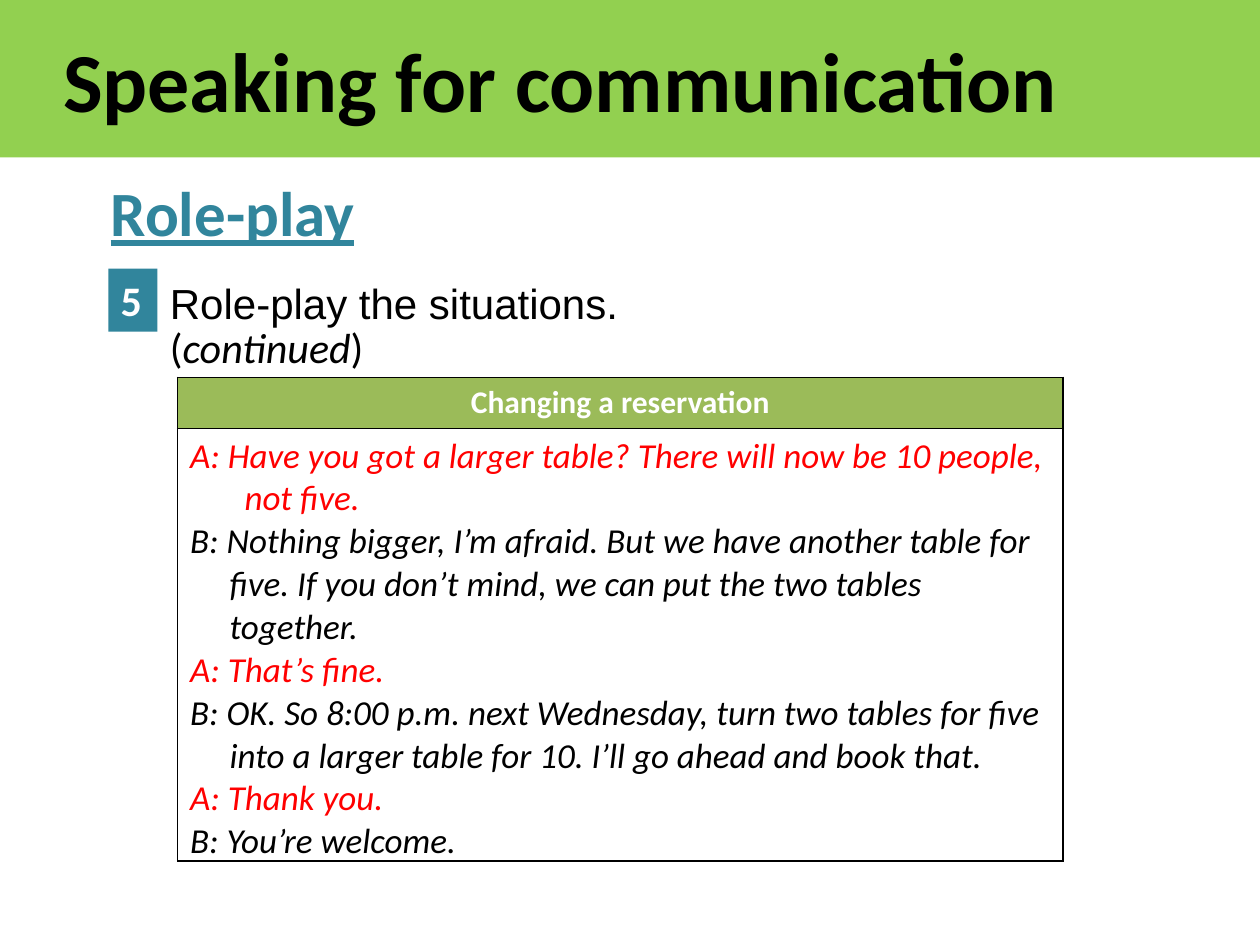
from lxml.etree import SubElement
from pptx import Presentation
from pptx.dml.color import RGBColor
from pptx.enum.shapes import MSO_SHAPE
from pptx.enum.text import MSO_ANCHOR, MSO_AUTO_SIZE, PP_ALIGN
from pptx.oxml.ns import qn
from pptx.util import Pt

BLACK = RGBColor(0x00, 0x00, 0x00)
WHITE = RGBColor(0xFF, 0xFF, 0xFF)
RED = RGBColor(0xFF, 0x00, 0x00)
TEAL = RGBColor(0x31, 0x85, 0x9C)
BANNER_GREEN = RGBColor(0x92, 0xD0, 0x50)
HEADER_GREEN = RGBColor(0x9B, 0xBB, 0x59)

TITLE = "Speaking for communication"
SECTION = "Role-play"
TASK_NUMBER = "5"
TASK = "Role-play the situations."
CONTINUED = [("(", False), ("continued", True), (")", False)]
SITUATION = "Changing a reservation"
# (line, hanging indent in points)
DIALOGUE = [
    ("A: Have you got a larger table? There will now be 10 people, not five.", 31),
    ("B: Nothing bigger, I’m afraid. But we have another table for five. "
     "If you don’t mind, we can put the two tables together.", 22.5),
    ("A: That’s fine.", 31),
    ("B: OK. So 8:00 p.m. next Wednesday, turn two tables for five into a "
     "larger table for 10. I’ll go ahead and book that.", 22.5),
    ("A: Thank you.", 31),
    ("B: You’re welcome.", 31),
]
SPEAKER_COLORS = {"A": RED, "B": BLACK}

TITLE_FONT = dict(name="Calibri", size=Pt(48), bold=True)
SECTION_FONT = dict(name="Calibri", size=Pt(36), bold=True, underline=True)
NUMBER_FONT = dict(name="Calibri", size=Pt(24), bold=True)
TASK_FONT = dict(name="Arial", size=Pt(24))
CONTINUED_FONT = dict(name="Calibri", size=Pt(24))
HEADER_FONT = dict(name="Calibri", size=Pt(18), bold=True)
DIALOGUE_FONT = dict(name="Calibri", size=Pt(20), bold=False, italic=True)


def format_font(font, formats, color):
    for name, value in formats.items():
        setattr(font, name, value)
    font.color.rgb = color


def fill_solid(part, color):
    part.fill.solid()
    part.fill.fore_color.rgb = color


def set_indent(paragraph, left, first_line):
    properties = paragraph._p.get_or_add_pPr()
    properties.set("marL", str(Pt(left)))
    properties.set("indent", str(Pt(first_line)))


def add_text(slide, box, runs, formats, color, wrap=True):
    frame = slide.shapes.add_textbox(*map(Pt, box)).text_frame
    frame.word_wrap = wrap
    for text, italic in runs:
        run = frame.paragraphs[0].add_run()
        run.text = text
        format_font(run.font, formats, color)
        run.font.italic = italic


def style_cell(cell, color):
    """Give the cell a black 1 pt border and a solid fill."""
    properties = cell._tc.get_or_add_tcPr()
    for side in ("a:lnL", "a:lnR", "a:lnT", "a:lnB"):
        border = SubElement(properties, qn(side), w=str(Pt(1)))
        SubElement(SubElement(border, qn("a:solidFill")), qn("a:srgbClr"), val=str(BLACK))
    fill_solid(cell, color)


def add_title(slide):
    title = slide.shapes.title
    title.left, title.top, title.width, title.height = map(Pt, (0, 0, 720, 90))
    fill_solid(title, BANNER_GREEN)
    frame = title.text_frame
    frame.text = TITLE
    frame.auto_size = MSO_AUTO_SIZE.NONE
    frame.vertical_anchor = MSO_ANCHOR.MIDDLE
    paragraph = frame.paragraphs[0]
    paragraph.alignment = PP_ALIGN.LEFT
    set_indent(paragraph, 0, 28.8)
    format_font(paragraph.font, TITLE_FONT, BLACK)


def add_task_number(slide):
    badge = slide.shapes.add_shape(MSO_SHAPE.RECTANGLE, *map(Pt, (61.9, 153.5, 28.1, 36)))
    badge.shadow.inherit = False
    fill_solid(badge, TEAL)
    badge.line.fill.background()
    badge.text_frame.text = TASK_NUMBER
    badge.text_frame.vertical_anchor = MSO_ANCHOR.TOP
    paragraph = badge.text_frame.paragraphs[0]
    paragraph.alignment = PP_ALIGN.LEFT
    format_font(paragraph.font, NUMBER_FONT, WHITE)


def add_dialogue(slide):
    table = slide.shapes.add_table(2, 1, *map(Pt, (101.5, 215.6, 506, 276.4))).table
    table.rows[0].height, table.rows[1].height = Pt(29.2), Pt(247.2)
    header, body = table.cell(0, 0), table.cell(1, 0)
    style_cell(header, HEADER_GREEN)
    style_cell(body, WHITE)

    header.text = SITUATION
    paragraph = header.text_frame.paragraphs[0]
    paragraph.alignment = PP_ALIGN.CENTER
    format_font(paragraph.font, HEADER_FONT, WHITE)

    body.margin_bottom = 0
    body.text = "\n".join(line for line, _ in DIALOGUE)
    for paragraph, (line, hanging) in zip(body.text_frame.paragraphs, DIALOGUE):
        set_indent(paragraph, hanging, -hanging)
        format_font(paragraph.font, DIALOGUE_FONT, SPEAKER_COLORS[line[0]])


def main():
    presentation = Presentation()
    presentation.slide_width, presentation.slide_height = Pt(720), Pt(540)
    slide = presentation.slides.add_slide(presentation.slide_layouts.get_by_name("Title Only"))
    add_title(slide)
    add_text(slide, (56.2, 95.8, 155.5, 51), [(SECTION, False)], SECTION_FONT, TEAL, wrap=False)
    add_task_number(slide)
    add_text(slide, (90, 155, 528, 36), [(TASK, False)], TASK_FONT, BLACK)
    add_text(slide, (90, 180, 518, 36), CONTINUED, CONTINUED_FONT, BLACK)
    add_dialogue(slide)
    presentation.save("out.pptx")


if __name__ == "__main__":
    main()
